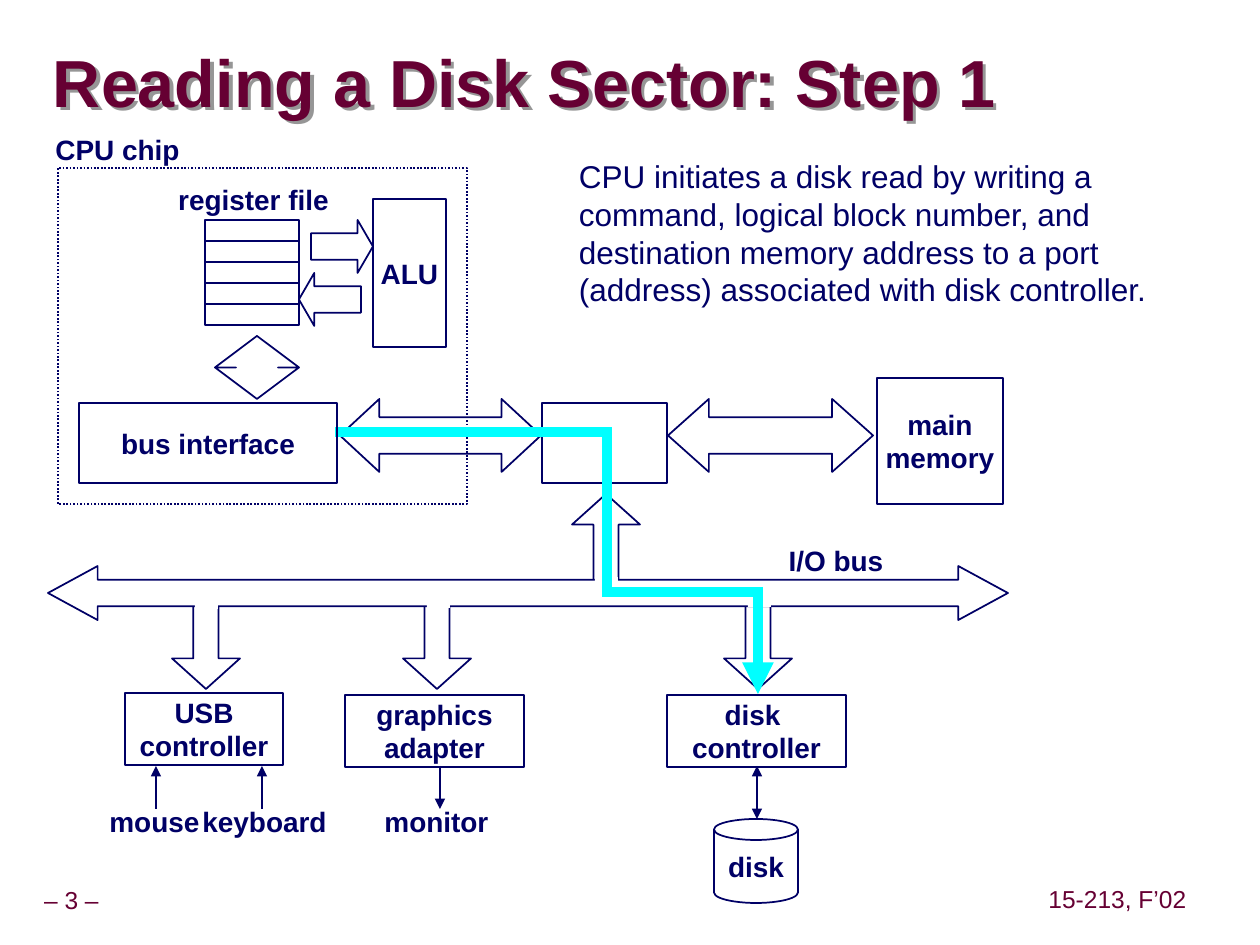
from lxml import etree
from pptx import Presentation
from pptx.dml.color import RGBColor
from pptx.enum.dml import MSO_LINE
from pptx.enum.shapes import MSO_CONNECTOR, MSO_SHAPE
from pptx.enum.text import MSO_ANCHOR, PP_ALIGN
from pptx.oxml.ns import qn
from pptx.util import Emu, Pt

NAVY = RGBColor(0x00, 0x00, 0x66)
MAROON = RGBColor(0x66, 0x00, 0x33)
CYAN = RGBColor(0x00, 0xFF, 0xFF)
WHITE = RGBColor(0xFF, 0xFF, 0xFF)
SHADOW_GRAY = RGBColor(0x96, 0x96, 0x96)
RECT, CAN = MSO_SHAPE.RECTANGLE, MSO_SHAPE.CAN
UP, DOWN = MSO_SHAPE.UP_ARROW, MSO_SHAPE.DOWN_ARROW
LEFT, RIGHT = MSO_SHAPE.LEFT_ARROW, MSO_SHAPE.RIGHT_ARROW
LEFT_RIGHT, UP_DOWN = MSO_SHAPE.LEFT_RIGHT_ARROW, MSO_SHAPE.UP_DOWN_ARROW
CENTER, ALIGN_LEFT = PP_ALIGN.CENTER, PP_ALIGN.LEFT
MIDDLE, TOP = MSO_ANCHOR.MIDDLE, MSO_ANCHOR.TOP
STRAIGHT = MSO_CONNECTOR.STRAIGHT
DOTTED = MSO_LINE.ROUND_DOT
FONT = "Arial"
PX_PER_INCH = 126

TITLE = "Reading a Disk Sector: Step 1"
DESCRIPTION = (
    "CPU initiates a disk read by writing a command, logical block number, and "
    "destination memory address to a port (address) associated with disk controller."
)
FOOTERS = [("– 3 –", (-11, 882, 165, 39)), ("15-213, F’02", (1042, 881, 151, 39))]

# Boxes: lines of text, (left, top, width, height)
BOXES = [
    (["main", "memory"], (877, 378, 126, 126)),
    ([], (542, 403, 125, 80)),
    (["ALU"], (373, 199, 73, 148)),
    (["disk ", "controller"], (667, 695, 179, 72)),
    (["graphics", "adapter"], (345, 695, 179, 72)),
    (["USB", "controller"], (125, 693, 158, 72)),
]
CPU_CHIP = (58, 168, 409, 336)
BUS_INTERFACE = (79, 403, 258, 80)
DISK = (714, 819, 84, 84)
REGISTER_COUNT = 5
REGISTER_LEFT, REGISTER_TOP, REGISTER_WIDTH, REGISTER_HEIGHT = 205, 220, 94, 21

# Adjustments are shaft then head, except UP_DOWN, which python-pptx lists head first
BLOCK_ARROWS = [
    (LEFT_RIGHT, (668, 399, 205, 73), (0.5, 0.56)),
    (LEFT_RIGHT, (340, 399, 201, 73), (0.5, 0.54)),
    (RIGHT, (311, 220, 62, 53), (0.5, 0.29)),
    (LEFT, (299, 273, 62, 53), (0.5, 0.29)),
    (UP_DOWN, (215, 336, 84, 63), (0.2, 0.5)),
]
BRANCH_SIZE, BRANCH_ADJUST = (68, 94), (0.37, 0.45)
BRANCHES = [(UP, 572, 494), (DOWN, 724, 595), (DOWN, 403, 595), (DOWN, 172, 595)]
IO_BUS, IO_BUS_ADJUST = (48, 566, 960, 54), (0.49, 0.92)
JOINT_SIZE = (23, 21)
BUS_JOINTS = [(195, 588), (427, 587), (748, 586), (595, 577)]

LABELS = [
    ("register file", (166, 176, 175, 47)),
    ("CPU chip", (43, 126, 149, 47)),
    ("mouse", (97, 798, 115, 47)),
    ("keyboard", (190, 798, 149, 47)),
    ("monitor", (372, 798, 129, 47)),
    ("I/O bus", (776, 537, 120, 47)),
]
# Lines: (x1, y1, x2, y2), arrowheads at start and end
DEVICE_LINKS = [
    ((156, 766, 156, 809), True, False),
    ((262, 766, 262, 809), True, False),
    ((440, 766, 440, 809), False, True),
    ((757, 766, 757, 819), True, True),
]
COMMAND_ROUTE = [
    ((335, 432, 612, 432), False, False),
    ((607, 432, 607, 588), False, False),
    ((602, 592, 757, 592), False, False),
    ((758, 587, 758, 694), False, True),
]


def emu(px):
    return Emu(round(px * 914400 / PX_PER_INCH))


def scaled(lengths):
    return [emu(px) for px in lengths]


def write(shape, lines, size, color, bold=False, align=CENTER, anchor=MIDDLE,
          margins=(12, 6), wrap=False, spacing=1.0):
    frame = shape.text_frame
    frame.word_wrap = wrap
    frame.vertical_anchor = anchor
    frame.margin_left = frame.margin_right = emu(margins[0])
    frame.margin_top = frame.margin_bottom = emu(margins[1])
    for index, line in enumerate(lines):
        paragraph = frame.paragraphs[0] if index == 0 else frame.add_paragraph()
        paragraph.alignment = align
        paragraph.line_spacing = spacing
        run = paragraph.add_run()
        run.text = line
        run.font.name, run.font.size, run.font.bold = FONT, Pt(size), bold
        run.font.color.rgb = color


def add_text(slide, lines, box, size, color, **style):
    write(slide.shapes.add_textbox(*scaled(box)), lines, size, color, **style)


def add_part(slide, kind, box, lines=(), adjust=(), fill=None, outline=NAVY):
    part = slide.shapes.add_shape(kind, *scaled(box))
    part.shadow.inherit = False
    for index, value in enumerate(adjust):
        part.adjustments[index] = value
    if fill is None:
        part.fill.background()
    else:
        part.fill.solid()
        part.fill.fore_color.rgb = fill
    if outline is None:
        part.line.fill.background()
    else:
        part.line.color.rgb = outline
        part.line.width = Pt(1)
    write(part, lines, 16, NAVY, bold=True)
    return part


def add_line(slide, ends, at_start, at_end, color, width):
    line = slide.shapes.add_connector(STRAIGHT, *scaled(ends))
    line.line.color.rgb = color
    line.line.width = Pt(width)
    outline = line.line._get_or_add_ln()
    for tag, wanted in (("a:headEnd", at_start), ("a:tailEnd", at_end)):
        if wanted:
            etree.SubElement(outline, qn(tag), type="triangle")
    etree.SubElement(line._element.spPr, qn("a:effectLst"))


def add_title(slide):
    """Fill the title; with no fill on its box, the box shadow falls from the text."""
    title = slide.shapes.title
    title.left, title.top, title.width, title.height = scaled((53, 47, 1040, 79))
    write(title, [TITLE], 38, MAROON, bold=True, align=ALIGN_LEFT,
          margins=(0, 0), wrap=True, spacing=0.87)
    title.fill.background()
    title.shadow.inherit = False
    effects = title._element.spPr.find(qn("a:effectLst"))
    shadow = etree.SubElement(effects, qn("a:outerShdw"), dist=str(emu(5)),
                              dir="2700000", algn="ctr", rotWithShape="0")
    etree.SubElement(shadow, qn("a:srgbClr"), val=str(SHADOW_GRAY))


def main():
    deck = Presentation()
    deck.slide_width, deck.slide_height = scaled((1260, 945))
    slide = deck.slides.add_slide(deck.slide_layouts[5])

    add_title(slide)
    for text, box in FOOTERS:
        add_text(slide, [text], box, 14, MAROON, margins=(6, 6), spacing=0.9)

    for lines, box in BOXES:
        add_part(slide, RECT, box, lines)
    for row in range(REGISTER_COUNT):
        top = REGISTER_TOP + row * REGISTER_HEIGHT
        add_part(slide, RECT, (REGISTER_LEFT, top, REGISTER_WIDTH, REGISTER_HEIGHT))
    for kind, box, adjust in BLOCK_ARROWS:
        add_part(slide, kind, box, adjust=adjust)
    add_part(slide, RECT, CPU_CHIP).line.dash_style = DOTTED
    add_part(slide, CAN, DISK, ["disk"], adjust=(0.25,))

    for kind, left, top in BRANCHES:
        add_part(slide, kind, (left, top, *BRANCH_SIZE), adjust=BRANCH_ADJUST)
    add_part(slide, LEFT_RIGHT, IO_BUS, adjust=IO_BUS_ADJUST, fill=WHITE)
    for corner in BUS_JOINTS:
        add_part(slide, RECT, (*corner, *JOINT_SIZE), fill=WHITE, outline=None)

    for text, box in LABELS:
        add_text(slide, [text], box, 16, NAVY, bold=True)
    for link in DEVICE_LINKS:
        add_line(slide, *link, NAVY, 1)
    for segment in COMMAND_ROUTE:
        add_line(slide, *segment, CYAN, 6)
    add_part(slide, RECT, BUS_INTERFACE, ["bus interface"])
    add_text(slide, [DESCRIPTION], (567, 151, 606, 164), 18, NAVY,
             align=ALIGN_LEFT, anchor=TOP, wrap=True)

    deck.save("out.pptx")


if __name__ == "__main__":
    main()
